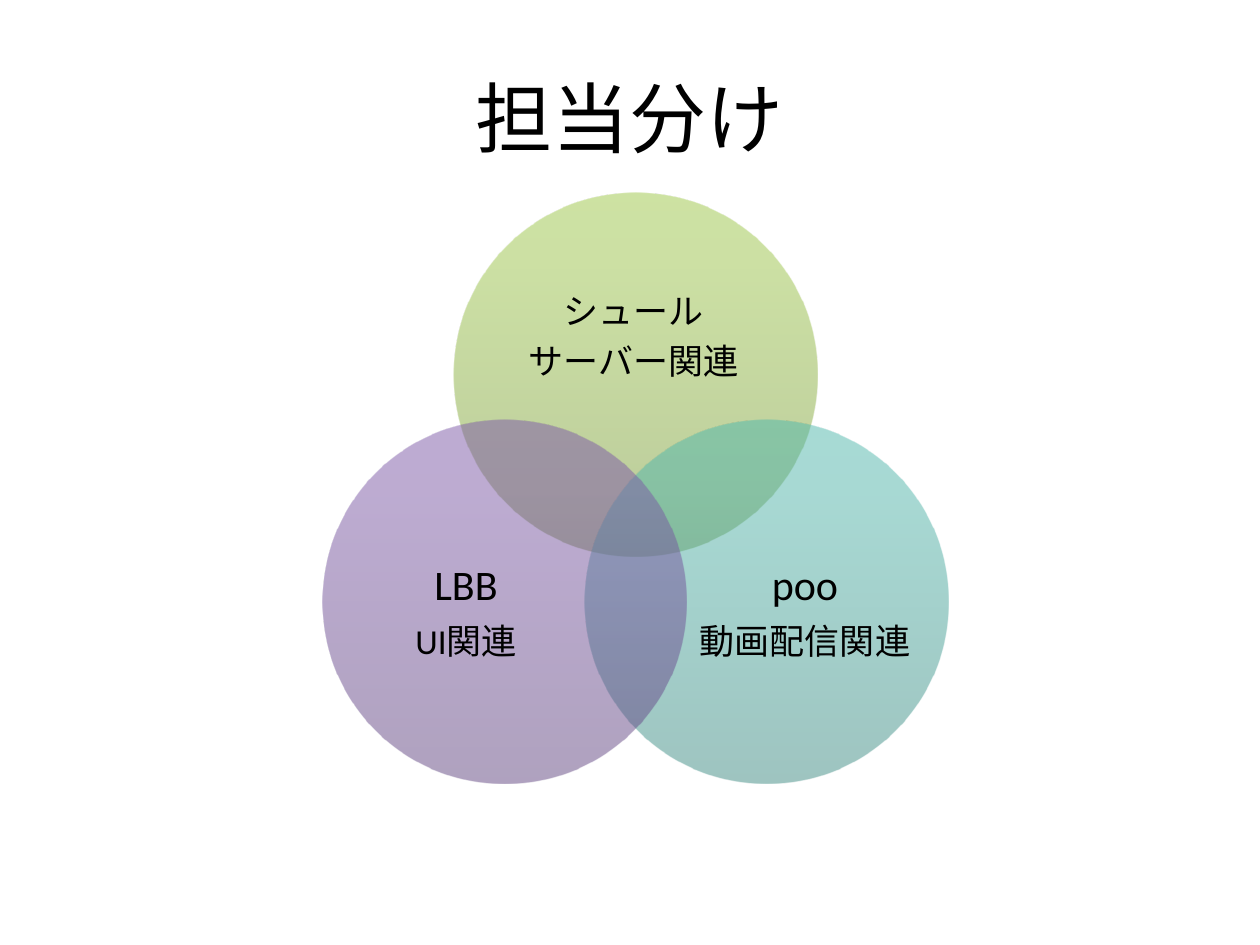
from dataclasses import dataclass

from lxml.etree import SubElement
from pptx import Presentation
from pptx.dml.color import RGBColor
from pptx.enum.shapes import MSO_SHAPE
from pptx.enum.text import MSO_ANCHOR, PP_ALIGN
from pptx.oxml.ns import qn
from pptx.util import Emu, Pt

PX_PER_INCH = 126
DIAMETER = 363


@dataclass(frozen=True)
class Theme:
    font: str = "Calibri"
    text: str = "000000"
    title: int = 44
    name: int = 24
    duty: int = 20
    green: tuple = ("779737", "9BC348", "9DC746")
    teal: tuple = ("3D8B83", "50B5AA", "4EB8AC")
    purple: tuple = ("5F4480", "7B58A6", "7C57A8")
    stops: tuple = (0, 80, 100)
    opacity: int = 50


@dataclass(frozen=True)
class Box:
    x: int
    y: int
    w: int
    h: int

    def emu(self) -> list[Emu]:
        return [px(v) for v in (self.x, self.y, self.w, self.h)]


@dataclass(frozen=True)
class Member:
    lines: tuple
    sizes: tuple
    colors: tuple
    x: int
    y: int
    label: Box


THEME = Theme()
MEMBERS = (
    Member(("シュール", "サーバー関連"), (THEME.duty, THEME.duty), THEME.green,
           454, 193, Box(501, 256, 266, 164)),
    Member(("poo", "動画配信関連"), (THEME.name, THEME.duty), THEME.teal,
           585, 420, Box(696, 513, 218, 200)),
    Member(("LBB", "UI関連"), (THEME.name, THEME.duty), THEME.purple,
           323, 420, Box(357, 513, 218, 200)),
)


def px(value: int) -> Emu:
    return Emu(round(value * 914400 / PX_PER_INCH))


def add_text(s, box: Box, lines: tuple, *, sizes: tuple, inset: int | None = None,
             line_spacing: float | None = None, after_pct: int | None = None) -> None:
    tf = s.shapes.add_textbox(*box.emu()).text_frame
    tf.word_wrap = True
    tf.vertical_anchor = MSO_ANCHOR.MIDDLE
    if inset is not None:
        tf.margin_left = tf.margin_top = tf.margin_right = tf.margin_bottom = px(inset)
    for i, (line, size) in enumerate(zip(lines, sizes)):
        p = tf.add_paragraph() if i else tf.paragraphs[0]
        p.alignment = PP_ALIGN.CENTER
        if line_spacing is not None:
            p.line_spacing = line_spacing
        if after_pct is not None:
            after = SubElement(p._p.get_or_add_pPr(), qn("a:spcAft"))
            SubElement(after, qn("a:spcPct"), val=str(after_pct * 1000))
        r = p.add_run()
        r.text = line
        r.font.name = THEME.font
        r.font.size = Pt(size)
        r.font.color.rgb = RGBColor.from_string(THEME.text)


def fill_gradient(sp, colors: tuple) -> None:
    """Fill with translucent stops running from bottom to top."""
    sp.fill.gradient()
    sp.fill.gradient_angle = 90
    stops = sp._element.spPr.find(qn("a:gradFill")).find(qn("a:gsLst"))
    stops.clear()
    for pos, color in zip(THEME.stops, colors):
        stop = SubElement(stops, qn("a:gs"), pos=str(pos * 1000))
        rgb = SubElement(stop, qn("a:srgbClr"), val=color)
        SubElement(rgb, qn("a:alpha"), val=str(THEME.opacity * 1000))


def add_member(s, member: Member) -> None:
    circle = Box(member.x, member.y, DIAMETER, DIAMETER)
    sp = s.shapes.add_shape(MSO_SHAPE.OVAL, *circle.emu())
    sp.shadow.inherit = False
    sp.line.fill.background()
    fill_gradient(sp, member.colors)
    add_text(s, member.label, member.lines, sizes=member.sizes, inset=0,
             line_spacing=0.9, after_pct=35)


def main() -> None:
    prs = Presentation()
    prs.slide_width, prs.slide_height = px(1260), px(945)
    s = prs.slides.add_slide(prs.slide_layouts[6])
    add_text(s, Box(63, 38, 1134, 158), ("担当分け",), sizes=(THEME.title,))
    for member in MEMBERS:
        add_member(s, member)
    prs.save("out.pptx")


if __name__ == "__main__":
    main()
